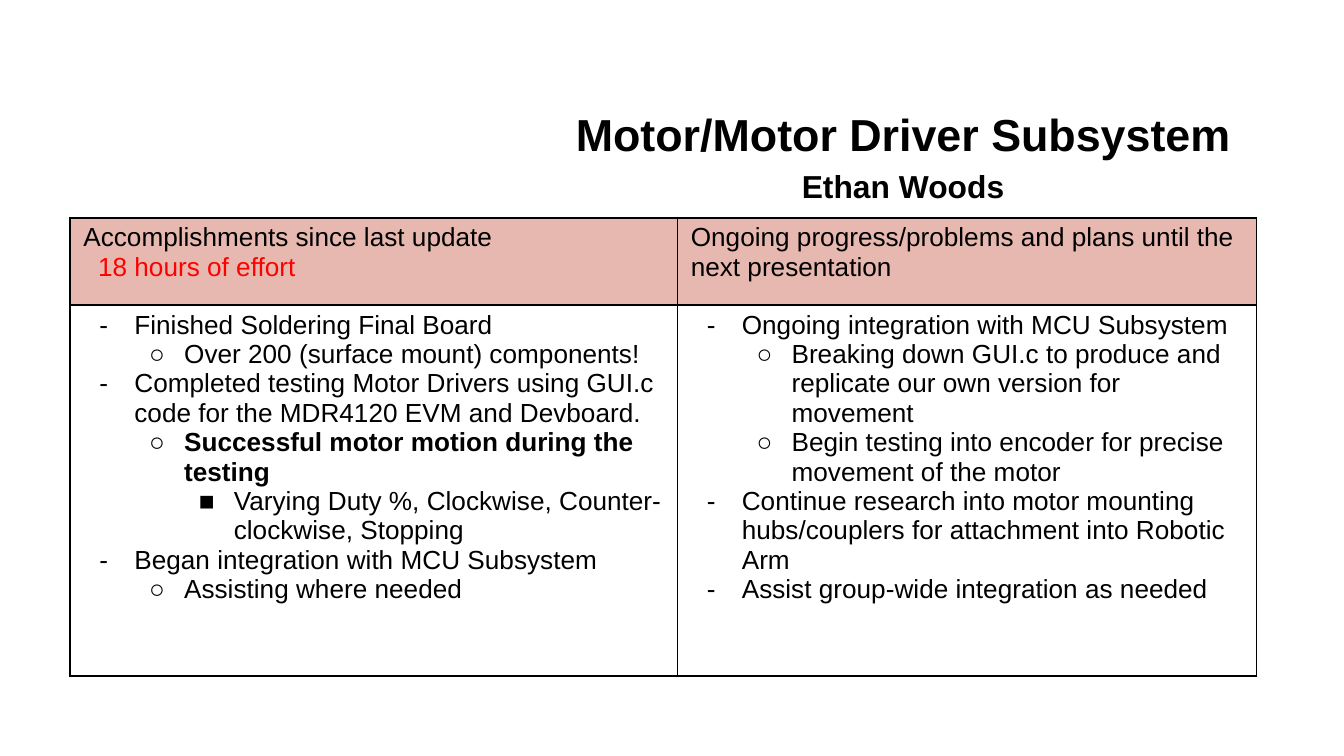
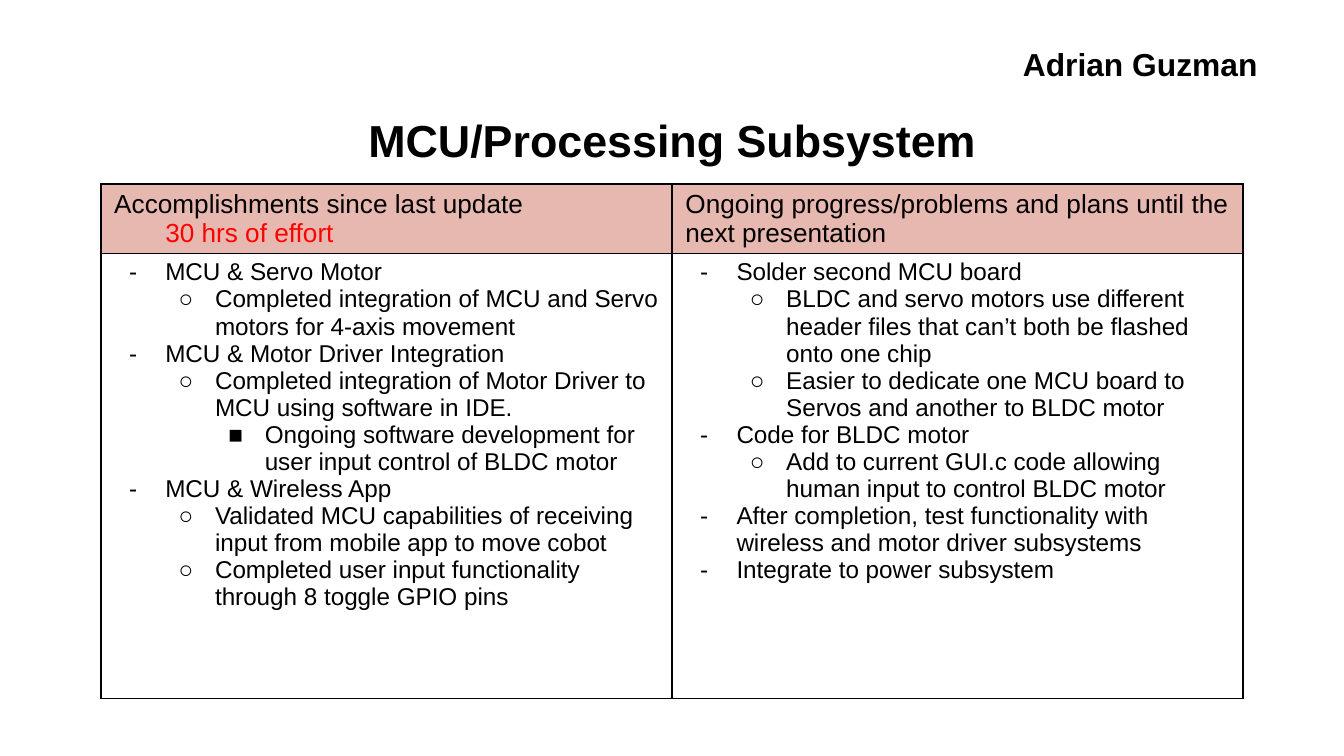
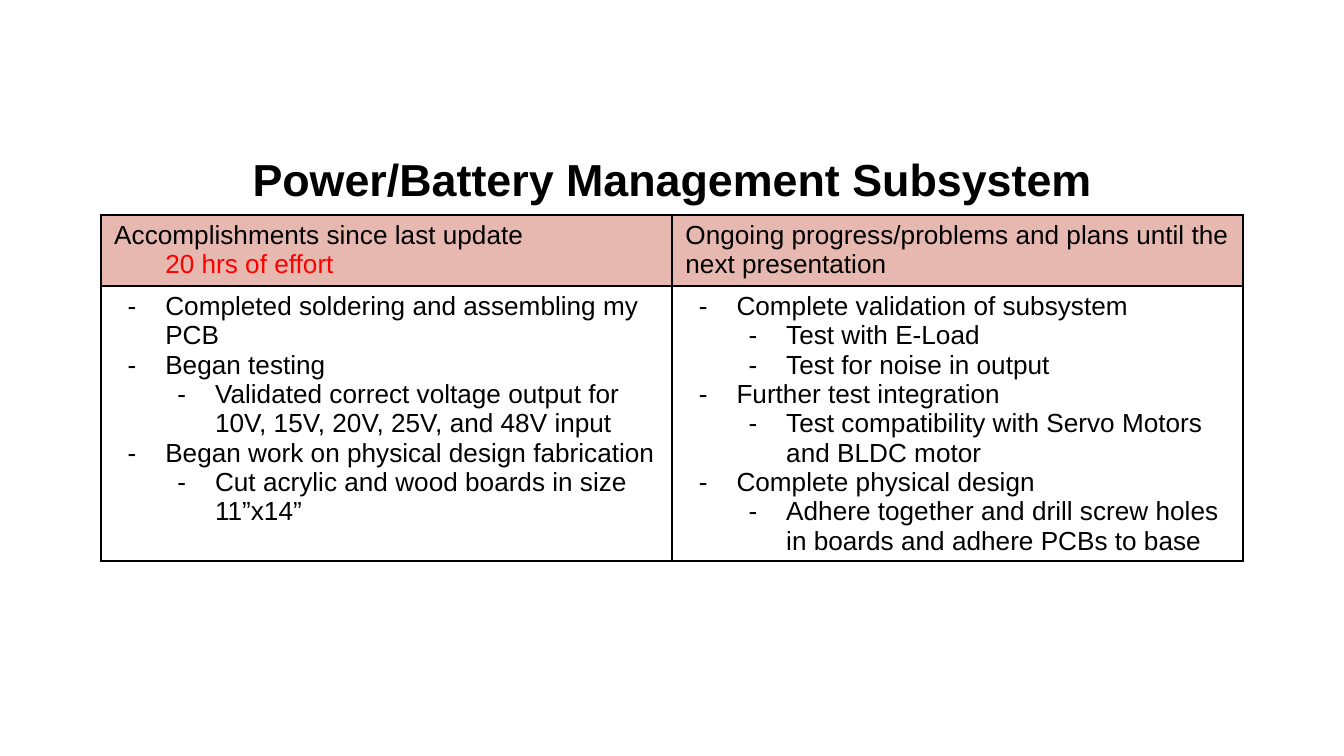
from lxml import etree
from pptx import Presentation
from pptx.dml.color import RGBColor
from pptx.enum.text import MSO_ANCHOR, MSO_AUTO_SIZE, PP_ALIGN
from pptx.oxml.ns import qn
from pptx.util import Inches, Pt

CENTER = PP_ALIGN.CENTER
TOP, MIDDLE = MSO_ANCHOR.TOP, MSO_ANCHOR.MIDDLE
NO_AUTOFIT = MSO_AUTO_SIZE.NONE

FONT = "Arial"
COLORS = {"text": "000000", "effort": "FF0000", "header": "E6B8AF", "border": "000000"}
TITLE_SIZE, NAME_SIZE, TABLE_SIZE = 24, 17, 14
TITLE_ONLY = 5

DONE_HEADING = "Accomplishments since last update"
PLANS_HEADING = "Ongoing progress/problems and plans until the next presentation"
MIXED_BULLETS = "-○■"
DASH_BULLETS = "---"

# Each item is (level, text), with True added when it is bold
MOTOR_DONE = [
    (0, "Finished Soldering Final Board"),
    (1, "Over 200 (surface mount) components!"),
    (0, "Completed testing Motor Drivers using GUI.c code for the MDR4120 EVM and Devboard."),
    (1, "Successful motor motion during the testing", True),
    (2, "Varying Duty %, Clockwise, Counter-clockwise, Stopping"),
    (0, "Began integration with MCU Subsystem"),
    (1, "Assisting where needed"),
]
MOTOR_PLANS = [
    (0, "Ongoing integration with MCU Subsystem"),
    (1, "Breaking down GUI.c to produce and replicate our own version for movement"),
    (1, "Begin testing into encoder for precise movement of the motor"),
    (0, "Continue research into motor mounting hubs/couplers for attachment into Robotic Arm"),
    (0, "Assist group-wide integration as needed"),
]
MCU_DONE = [
    (0, "MCU & Servo Motor"),
    (1, "Completed integration of MCU and Servo motors for 4-axis movement"),
    (0, "MCU & Motor Driver Integration"),
    (1, "Completed integration of Motor Driver to MCU using software in IDE."),
    (2, "Ongoing software development for user input control of BLDC motor"),
    (0, "MCU & Wireless App"),
    (1, "Validated MCU capabilities of receiving input from mobile app to move cobot"),
    (1, "Completed user input functionality through 8 toggle GPIO pins"),
]
MCU_PLANS = [
    (0, "Solder second MCU board"),
    (1, "BLDC and servo motors use different header files that can’t both be flashed onto one chip"),
    (1, "Easier to dedicate one MCU board to Servos and another to BLDC motor"),
    (0, "Code for BLDC motor"),
    (1, "Add to current GUI.c code allowing human input to control BLDC motor"),
    (0, "After completion, test functionality with wireless and motor driver subsystems"),
    (0, "Integrate to power subsystem"),
]
POWER_DONE = [
    (0, "Completed soldering and assembling my PCB"),
    (0, "Began testing"),
    (1, "Validated correct voltage output for 10V, 15V, 20V, 25V, and 48V input"),
    (0, "Began work on physical design fabrication"),
    (1, "Cut acrylic and wood boards in size 11”x14”"),
]
POWER_PLANS = [
    (0, "Complete validation of subsystem"),
    (1, "Test with E-Load"),
    (1, "Test for noise in output"),
    (0, "Further test integration"),
    (1, "Test compatibility with Servo Motors and BLDC motor"),
    (0, "Complete physical design"),
    (1, "Adhere together and drill screw holes in boards and adhere PCBs to base"),
]


def style(paragraph, size, color="text", bold=False):
    font = paragraph.font
    font.name, font.size, font.bold = FONT, Pt(size), bold
    font.color.rgb = RGBColor.from_string(COLORS[color])


def next_paragraph(frame, index):
    return frame.add_paragraph() if index else frame.paragraphs[0]


def fill_heading(frame, lines):
    """Write bold centred lines, each given as (text, size)."""
    for index, (text, size) in enumerate(lines):
        paragraph = next_paragraph(frame, index)
        paragraph.text = text
        paragraph.alignment = CENTER
        paragraph.line_spacing = 1.15
        style(paragraph, size, bold=True)


def place_title(slide, bounds, lines, anchor=MIDDLE):
    title = slide.shapes.title
    title.left, title.top, title.width, title.height = map(Inches, bounds)
    frame = title.text_frame
    frame.auto_size = NO_AUTOFIT
    frame.vertical_anchor = anchor
    fill_heading(frame, lines)


def add_name(slide, bounds, name):
    frame = slide.shapes.add_textbox(*map(Inches, bounds)).text_frame
    frame.word_wrap = True
    frame.margin_top = frame.margin_bottom = Inches(0.1)
    fill_heading(frame, [(name, NAME_SIZE)])


def add_bullet(paragraph, level, mark, hang):
    paragraph.level = level
    properties = paragraph._p.get_or_add_pPr()
    properties.set("marL", str(Inches(0.38 + 0.37 * level)))
    properties.set("indent", str(-Inches(hang)))
    color = etree.SubElement(properties, qn("a:buClr"))
    etree.SubElement(color, qn("a:srgbClr"), val=COLORS["text"])
    etree.SubElement(properties, qn("a:buFont"), typeface=FONT)
    etree.SubElement(properties, qn("a:buChar"), char=mark)


def fill_list(cell, items, marks, hang, size):
    for index, (level, text, *bold) in enumerate(items):
        paragraph = next_paragraph(cell.text_frame, index)
        paragraph.text = text
        add_bullet(paragraph, level, marks[level], hang)
        style(paragraph, size, bold=bool(bold))


def fill_header(cell, heading, effort=None, effort_indent=0):
    paragraph = cell.text_frame.paragraphs[0]
    paragraph.text = heading
    style(paragraph, TABLE_SIZE)
    if effort:
        paragraph = cell.text_frame.add_paragraph()
        paragraph.text = effort
        paragraph._p.get_or_add_pPr().set("marL", str(Inches(effort_indent)))
        style(paragraph, TABLE_SIZE, "effort")


def format_cell(cell, is_header):
    cell.margin_top = cell.margin_bottom = Inches(0.04)
    properties = cell._tc.get_or_add_tcPr()
    for side in ("lnL", "lnR", "lnT", "lnB"):
        line = etree.SubElement(properties, qn(f"a:{side}"), w=str(Pt(1)))
        fill = etree.SubElement(line, qn("a:solidFill"))
        etree.SubElement(fill, qn("a:srgbClr"), val=COLORS["border"])
    if is_header:
        cell.fill.solid()
        cell.fill.fore_color.rgb = RGBColor.from_string(COLORS["header"])
    else:
        cell.fill.background()


def add_status_table(slide, left, top, widths, heights, effort, done, plans,
                     marks=MIXED_BULLETS, hang=0.26, size=TABLE_SIZE, effort_indent=0.38):
    bounds = (left, top, sum(widths), sum(heights))
    table = slide.shapes.add_table(2, 2, *map(Inches, bounds)).table
    table.first_row = table.horz_banding = False
    for column, width in zip(table.columns, widths):
        column.width = Inches(width)
    for row_index, (row, height) in enumerate(zip(table.rows, heights)):
        row.height = Inches(height)
        for cell in row.cells:
            format_cell(cell, row_index == 0)
    fill_header(table.cell(0, 0), DONE_HEADING, effort, effort_indent)
    fill_header(table.cell(0, 1), PLANS_HEADING)
    for column_index, items in enumerate((done, plans)):
        fill_list(table.cell(1, column_index), items, marks, hang, size)


def main():
    deck = Presentation()
    # Widescreen, 16 to 9
    deck.slide_width = Inches(10)
    deck.slide_height = deck.slide_width * 9 // 16
    layout = deck.slide_layouts[TITLE_ONLY]

    # Motor driver
    slide = deck.slides.add_slide(layout)
    place_title(slide, (0.72, 0.69, 12, 0.88),
                [("Motor/Motor Driver Subsystem", TITLE_SIZE), ("Ethan Woods", NAME_SIZE)])
    add_status_table(slide, 0.52, 1.62, (4.52, 4.31), (0.65, 2.76), "18 hours of effort",
                     MOTOR_DONE, MOTOR_PLANS, effort_indent=0.11)

    # Processing
    slide = deck.slides.add_slide(layout)
    place_title(slide, (0.5, 0.68, 9, 0.66), [("MCU/Processing Subsystem", TITLE_SIZE)])
    add_status_table(slide, 0.75, 1.37, (4.25, 4.25), (0.48, 3.31), "30 hrs of effort",
                     MCU_DONE, MCU_PLANS, hang=0.27, size=13)
    add_name(slide, (7.47, 0.19, 2.03, 0.49), "Adrian Guzman")

    # Power
    slide = deck.slides.add_slide(layout)
    place_title(slide, (1.65, 1.02, 6.7, 0.88),
                [("Power/Battery Management Subsystem", TITLE_SIZE)], anchor=TOP)
    add_status_table(slide, 0.75, 1.6, (4.25, 4.25), (0.53, 1.42), "20 hrs of effort",
                     POWER_DONE, POWER_PLANS, marks=DASH_BULLETS, hang=0.28)

    deck.save("out.pptx")


if __name__ == "__main__":
    main()
